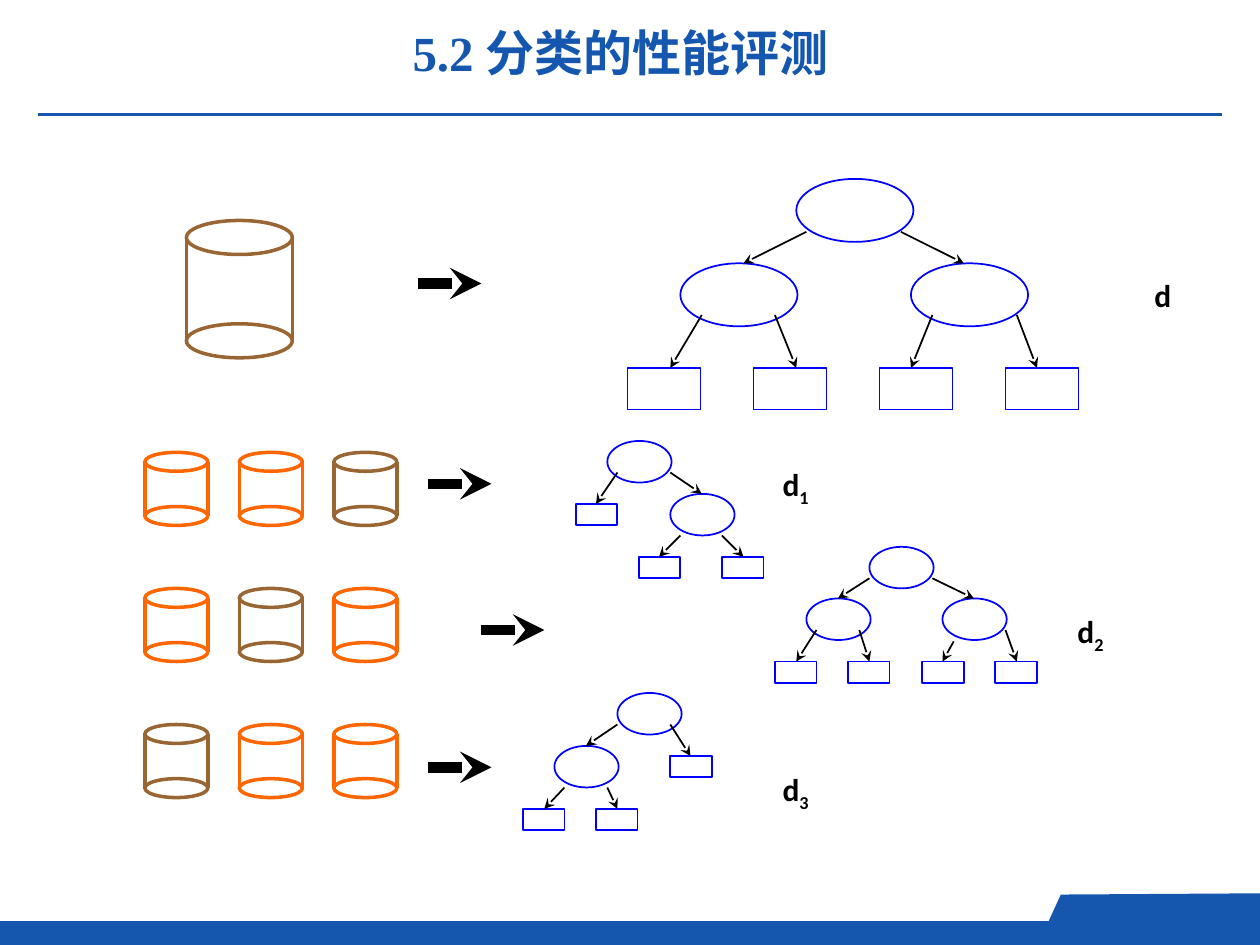
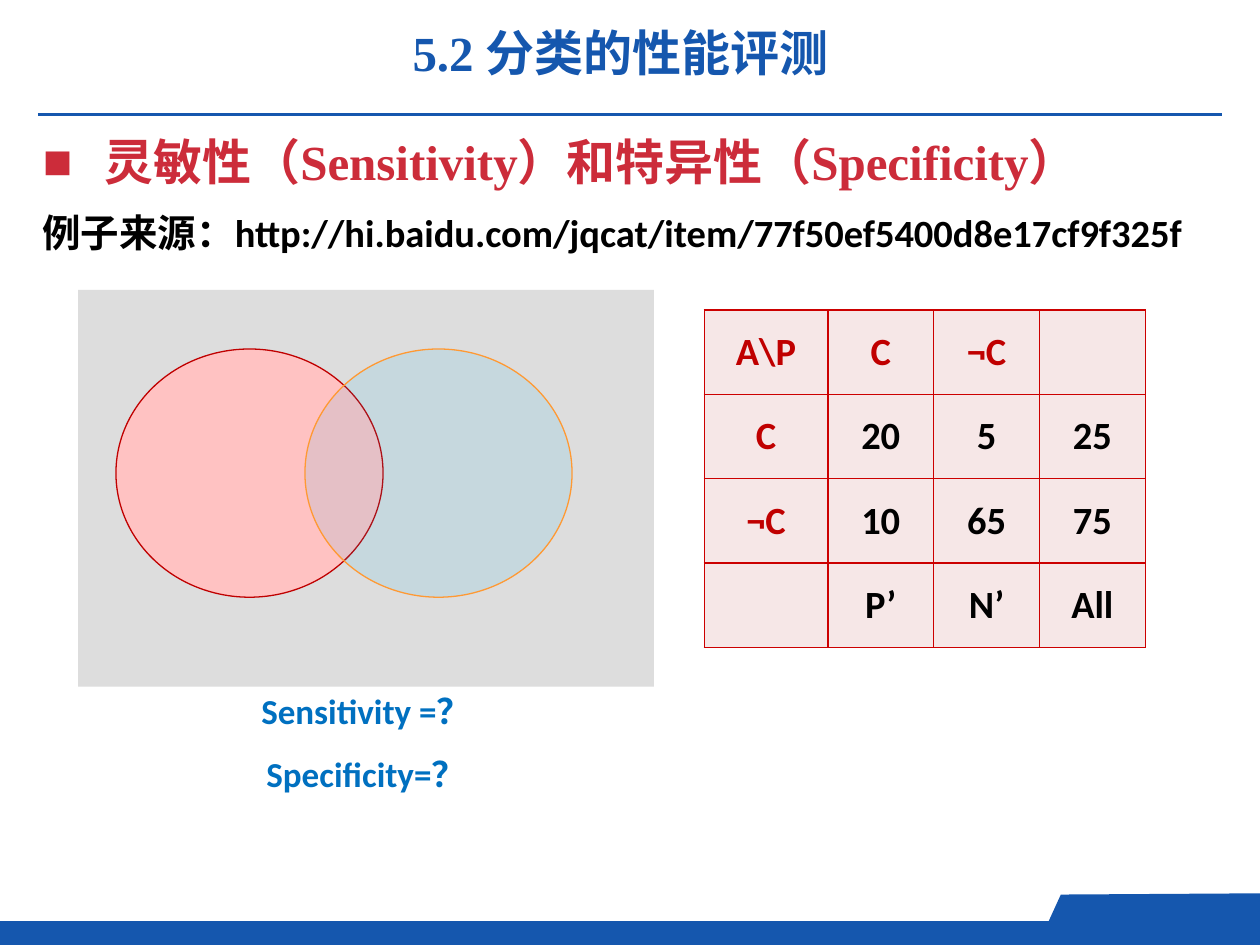
from dataclasses import dataclass

from lxml.etree import SubElement
from pptx import Presentation
from pptx.dml.color import RGBColor
from pptx.enum.shapes import MSO_CONNECTOR, MSO_SHAPE
from pptx.enum.text import MSO_ANCHOR, MSO_AUTO_SIZE, PP_ALIGN
from pptx.oxml.ns import qn
from pptx.util import Inches, Pt


@dataclass(frozen=True)
class Theme:
    blue: str = "1557AE"
    red: str = "CC2C3A"
    black: str = "000000"
    node: str = "0000FF"
    test_part: str = "996633"
    train_part: str = "FF6600"
    dark_red: str = "C00000"
    border: str = "CC0000"
    cell: str = "F6E7E7"
    panel: str = "DDDDDD"
    actual: str = "FFC2C2"
    predicted: str = "00B0F0"
    predicted_line: str = "FF9933"
    question: str = "0070C0"
    serif: str = "Times New Roman"
    sans: str = "Calibri"
    title_size: int = 28
    table_size: int = 22
    question_size: int = 20
    label_size: int = 18


THEME = Theme()

# Content: slide 1
TITLE = "5.2 分类的性能评测"
FULL_DATA = (1.48, 1.75, 0.84, 1.09, 0.27)  # left, top, width, height, cap
FOLD_LEFT, FOLD_TOP, FOLD_STEP_X, FOLD_STEP_Y = 1.15, 3.59, 0.75, 1.08
FOLD_COUNT = 3
FOLD_SIZE = (0.5, 0.58, 0.15)
BLOCK_ARROWS = [(3.32, 2.25), (3.4, 3.84), (3.82, 5), (3.4, 6.09)]
LABELS = [  # letter, subscript, left, top, width
    ("d", "", 9.06, 2.14, 0.34),
    ("d", "1", 6.1, 3.64, 0.43),
    ("d", "2", 8.44, 4.81, 0.43),
    ("d", "3", 6.1, 6.06, 0.43),
]
BIG_SIZES = {"test": (0.93, 0.5), "leaf": (0.58, 0.33)}
SMALL_SIZES = {"test": (0.51, 0.33), "leaf": (0.33, 0.17)}
# Each node: kind, left, top, then the arrow into it: start x, start y, end x
TREES = [
    (BIG_SIZES, [
        ("test", 6.32, 1.42, None),
        ("test", 5.4, 2.09, (6.4, 1.84, 5.9)),
        ("test", 7.23, 2.09, (7.15, 1.84, 7.65)),
        ("leaf", 4.98, 2.92, (5.57, 2.5, 5.32)),
        ("leaf", 5.98, 2.92, (6.15, 2.5, 6.32)),
        ("leaf", 6.98, 2.92, (7.4, 2.5, 7.23)),
        ("leaf", 7.98, 2.92, (8.07, 2.5, 8.23)),
    ]),
    (SMALL_SIZES, [
        ("test", 4.82, 3.5, None),
        ("leaf", 4.57, 4, (4.9, 3.75, 4.73)),
        ("test", 5.32, 3.92, (5.32, 3.75, 5.57)),
        ("leaf", 5.07, 4.42, (5.4, 4.25, 5.23)),
        ("leaf", 5.73, 4.42, (5.73, 4.25, 5.9)),
    ]),
    (SMALL_SIZES, [
        ("test", 6.9, 4.34, None),
        ("test", 6.4, 4.75, (6.9, 4.59, 6.65)),
        ("test", 7.48, 4.75, (7.4, 4.59, 7.73)),
        ("leaf", 6.15, 5.25, (6.48, 5, 6.32)),
        ("leaf", 6.73, 5.25, (6.82, 5, 6.9)),
        ("leaf", 7.32, 5.25, (7.57, 5.09, 7.48)),
        ("leaf", 7.9, 5.25, (7.98, 5, 8.07)),
    ]),
    (SMALL_SIZES, [
        ("test", 4.9, 5.5, None),
        ("test", 4.4, 5.92, (4.9, 5.75, 4.65)),
        ("leaf", 5.32, 6, (5.32, 5.75, 5.48)),
        ("leaf", 4.15, 6.42, (4.48, 6.25, 4.32)),
        ("leaf", 4.73, 6.42, (4.82, 6.25, 4.9)),
    ]),
]

# Content: slide 2
HEADING = "灵敏性（Sensitivity）和特异性（Specificity）"
SOURCE = "例子来源：http://hi.baidu.com/jqcat/item/77f50ef5400d8e17cf9f325f"
QUESTIONS = ["Sensitivity =？", "Specificity=？"]
CONFUSION = [
    ["A\\P", "C", "¬C", ""],
    ["C", "20", "5", "25"],
    ["¬C", "10", "65", "75"],
    ["", "P’", "N’", "All"],
]
COLUMN_WIDTHS = [0.98, 0.84, 0.84, 0.84]
ROW_HEIGHT = 0.67


# Helpers
def rgb(color):
    return RGBColor.from_string(color)


def inches(*lengths):
    return [Inches(length) for length in lengths]


def write_text(frame, lines, *, size, color=THEME.black, font=THEME.sans, align=PP_ALIGN.LEFT,
               spacing=1.0, subscript="", bullet="", wrap=True):
    frame.auto_size = MSO_AUTO_SIZE.NONE
    frame.word_wrap = wrap
    for index, line in enumerate(lines):
        para = frame.add_paragraph() if index else frame.paragraphs[0]
        para.alignment = align
        para.line_spacing = spacing
        para.space_before = Pt(0)
        if bullet:
            properties = para._p.get_or_add_pPr()
            properties.set("marL", str(Inches(0.49)))
            properties.set("indent", str(Inches(-0.49)))
            SubElement(properties, qn("a:buChar"), char=bullet)
        for part in filter(None, (line, subscript)):
            span = para.add_run()
            span.text = part
            span.font.name, span.font.size, span.font.bold = font, Pt(size), True
            span.font.color.rgb = rgb(color)
            if part is subscript:
                span._r.get_or_add_rPr().set("baseline", "-25000")


def add_text(page, place, lines, **style):
    box = page.shapes.add_textbox(*inches(*place))
    write_text(box.text_frame, lines, **style)


def paint(shape, fill=None, line=None, width=1.0):
    shape.shadow.inherit = False
    if fill:
        shape.fill.solid()
        shape.fill.fore_color.rgb = rgb(fill)
    else:
        shape.fill.background()
    if line:
        shape.line.color.rgb = rgb(line)
        shape.line.width = Pt(width)
    else:
        shape.line.fill.background()
    return shape


def add_shape(shapes, kind, *place, **style):
    return paint(shapes.add_shape(kind, *inches(*place)), **style)


def add_line(shapes, *ends, color=THEME.black, width=1.0, arrow=False):
    line = shapes.add_connector(MSO_CONNECTOR.STRAIGHT, *inches(*ends))
    line.line.color.rgb = rgb(color)
    line.line.width = Pt(width)
    if arrow:
        SubElement(line.line._get_or_add_ln(), qn("a:tailEnd"), type="stealth")
    SubElement(line._element.spPr, qn("a:effectLst"))


# Shared title, rule and footer band
def add_page(deck, layout_index):
    page = deck.slides.add_slide(deck.slide_layouts[layout_index])
    add_shape(page.shapes, MSO_SHAPE.RECTANGLE, 0, 7.31, 10, 0.19, fill=THEME.blue)
    outline = page.shapes.build_freeform(*inches(10, 7.45))
    outline.add_line_segments([inches(*point) for point in
                               [(10, 7.09), (8.42, 7.1), (8.26, 7.45)]])
    paint(outline.convert_to_shape(), fill=THEME.blue)
    add_line(page.shapes, 0.3, 0.91, 9.7, 0.91, color=THEME.blue, width=1.5)
    place_text(page.shapes.title, (0.91, 0.13, 8.03, 0.57), TITLE, color=THEME.blue,
               align=PP_ALIGN.CENTER)
    return page


def place_text(holder, place, line, **style):
    holder.left, holder.top, holder.width, holder.height = inches(*place)
    write_text(holder.text_frame, [line], size=THEME.title_size, font=THEME.serif, **style)


# Slide 1: data sets and the trees learned from them
def add_cylinder(page, left, top, width, height, cap, color):
    parts = page.shapes.add_group_shape().shapes
    style = {"width": 2}
    for cap_top in (top, top + height - cap):
        add_shape(parts, MSO_SHAPE.OVAL, left, cap_top, width, cap, line=color, **style)
    for side in (left, left + width):
        add_line(parts, side, top + cap / 2, side, top + height - cap / 2, color=color, **style)


def add_tree(page, sizes, nodes):
    kinds = {"test": MSO_SHAPE.OVAL, "leaf": MSO_SHAPE.RECTANGLE}
    for kind, left, top, _ in nodes:
        add_shape(page.shapes, kinds[kind], left, top, *sizes[kind], line=THEME.node)
    for _, _, top, arrow in nodes:
        if arrow:
            start_x, start_y, end_x = arrow
            add_line(page.shapes, start_x, start_y, end_x, top, arrow=True)


def build_cross_validation(deck):
    page = add_page(deck, 5)
    add_cylinder(page, *FULL_DATA, THEME.test_part)
    for row in range(FOLD_COUNT):
        for column in range(FOLD_COUNT):
            held_out = row + column == FOLD_COUNT - 1
            add_cylinder(page, FOLD_LEFT + column * FOLD_STEP_X, FOLD_TOP + row * FOLD_STEP_Y,
                         *FOLD_SIZE, THEME.test_part if held_out else THEME.train_part)
    for sizes, nodes in TREES:
        add_tree(page, sizes, nodes)
    for left, middle in BLOCK_ARROWS:
        add_line(page.shapes, left, middle, left + 0.5, middle, width=6, arrow=True)
    for letter, subscript, left, top, width in LABELS:
        add_text(page, (left, top, width, 0.4), [letter], size=THEME.label_size,
                 align=PP_ALIGN.CENTER, subscript=subscript, wrap=False)


# Slide 2: overlapping sets and the confusion table
def add_confusion_table(page):
    rows, columns = len(CONFUSION), len(COLUMN_WIDTHS)
    place = inches(5.59, 2.46, sum(COLUMN_WIDTHS), ROW_HEIGHT * rows)
    table = page.shapes.add_table(rows, columns, *place).table
    table.first_row = table.horz_banding = False
    for column, width in zip(table.columns, COLUMN_WIDTHS):
        column.width = Inches(width)
    for row_index, values in enumerate(CONFUSION):
        table.rows[row_index].height = Inches(ROW_HEIGHT)
        for column_index, value in enumerate(values):
            cell = table.cell(row_index, column_index)
            is_header = row_index == 0 or column_index == 0
            format_cell(cell)
            para_color = THEME.dark_red if is_header else THEME.black
            write_text(cell.text_frame, [value], size=THEME.table_size, color=para_color,
                       align=PP_ALIGN.CENTER)


def format_cell(cell):
    properties = cell._tc.get_or_add_tcPr()
    for side in ("lnL", "lnR", "lnT", "lnB"):
        border = SubElement(properties, qn(f"a:{side}"), w=str(Pt(1)))
        SubElement(SubElement(border, qn("a:solidFill")), qn("a:srgbClr"), val=THEME.border)
    cell.fill.solid()
    cell.fill.fore_color.rgb = rgb(THEME.cell)
    cell.vertical_anchor = MSO_ANCHOR.MIDDLE


def build_sensitivity(deck):
    page = add_page(deck, 1)
    place_text(page.placeholders[1], (0.24, 0.95, 9.53, 0.62), HEADING, color=THEME.red,
               spacing=1.1, bullet="■")
    add_text(page, (0.24, 1.57, 9.37, 0.67), [SOURCE], size=THEME.table_size, spacing=1.1)
    add_shape(page.shapes, MSO_SHAPE.RECTANGLE, 0.62, 2.3, 4.57, 3.15, fill=THEME.panel)
    circle = (2.77, 2.12, 1.97)
    add_shape(page.shapes, MSO_SHAPE.OVAL, 0.92, *circle, fill=THEME.actual,
              line=THEME.dark_red, width=0.75)
    predicted = add_shape(page.shapes, MSO_SHAPE.OVAL, 2.42, *circle, fill=THEME.predicted,
                          line=THEME.predicted_line, width=0.75)
    fill_color = predicted._element.spPr.find(f"{qn('a:solidFill')}/{qn('a:srgbClr')}")
    SubElement(fill_color, qn("a:alpha"), val="10000")
    add_confusion_table(page)
    add_text(page, (1.16, 5.26, 3.5, 1.41), QUESTIONS, size=THEME.question_size,
             color=THEME.question, align=PP_ALIGN.CENTER, spacing=1.5)


def main():
    deck = Presentation()
    deck.slide_width, deck.slide_height = inches(10, 7.5)
    build_cross_validation(deck)
    build_sensitivity(deck)
    deck.save("out.pptx")


if __name__ == "__main__":
    main()
